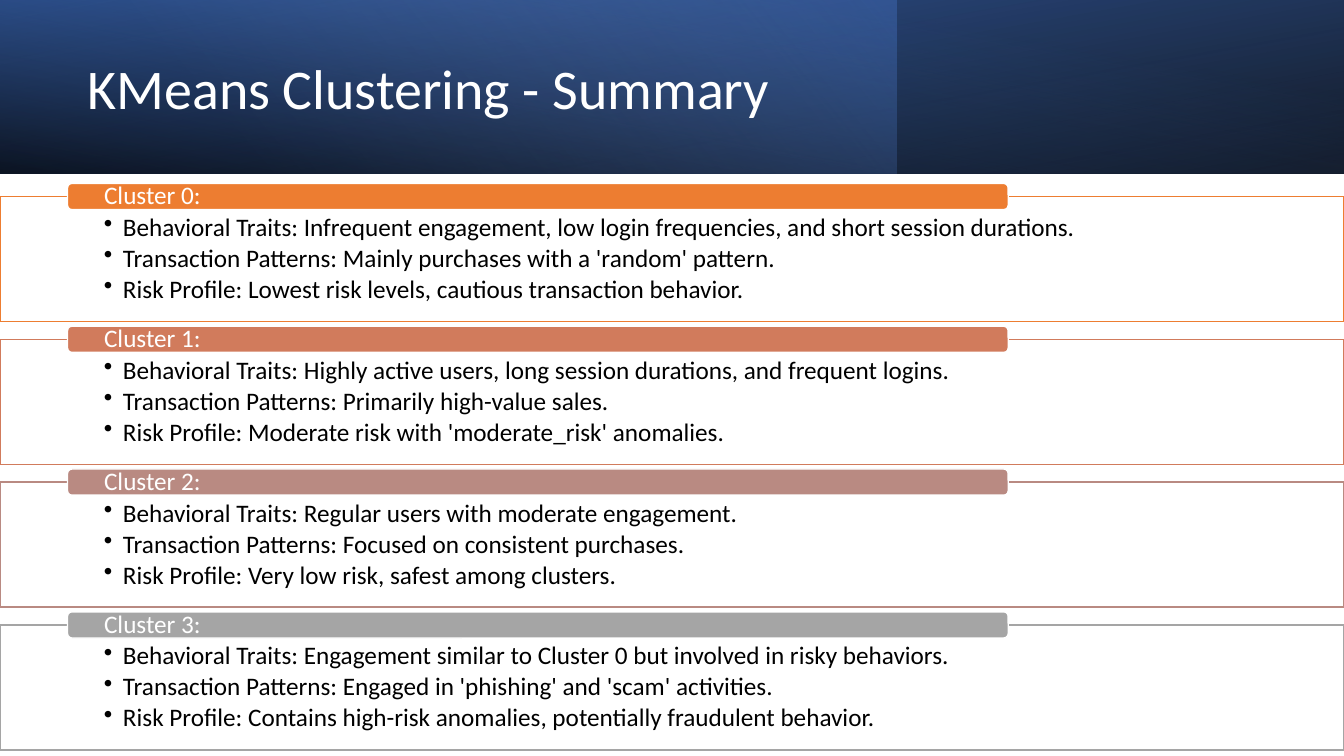
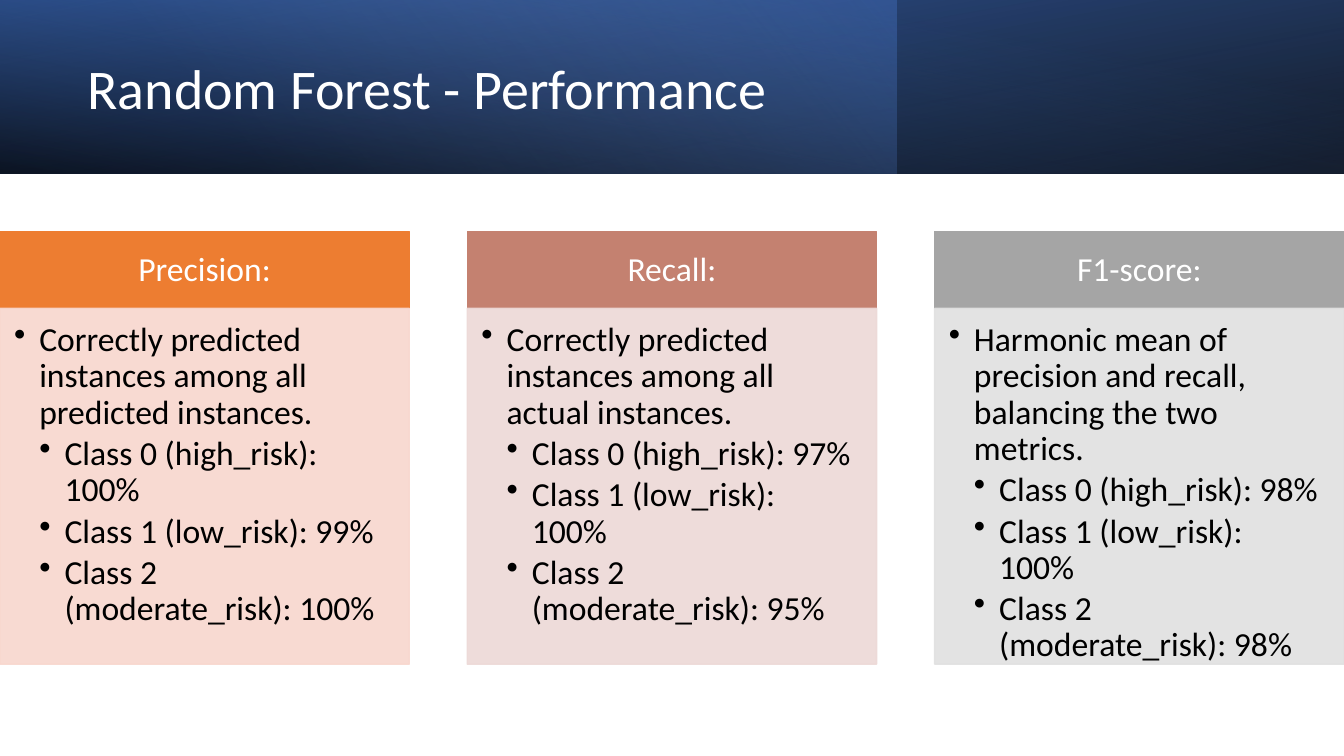
from dataclasses import dataclass

from lxml import etree
from pptx import Presentation
from pptx.dml.color import RGBColor
from pptx.enum import shapes, text
from pptx.oxml import ns
from pptx.util import Inches, Pt

SLIDE_WIDTH, SLIDE_HEIGHT = 13.33, 7.5
BAND_HEIGHT = 1.72
FONT = "Calibri"
BLACK = RGBColor(0x00, 0x00, 0x00)
WHITE = RGBColor(0xFF, 0xFF, 0xFF)
NAVY = RGBColor(0x2F, 0x55, 0x97)
BLUE = RGBColor(0x44, 0x72, 0xC4)
LIGHT_BLUE = RGBColor(0x8F, 0xAA, 0xDC)
ORANGE = RGBColor(0xED, 0x7D, 0x31)
TERRACOTTA = RGBColor(0xD1, 0x7B, 0x5C)
DUSTY_ROSE = RGBColor(0xB9, 0x8A, 0x82)
CLAY = RGBColor(0xC4, 0x81, 0x70)
GRAY = RGBColor(0xA5, 0xA5, 0xA5)
PALE_ORANGE = RGBColor(0xF8, 0xD7, 0xCE)
PALE_ROSE = RGBColor(0xED, 0xD9, 0xD7)
PALE_GRAY = RGBColor(0xE1, 0xE1, 0xE1)

CLUSTER_FIRST, CLUSTER_LAST, CLUSTER_HEIGHT = 1.95, 6.2, 1.24
CLUSTER_TEXT = 18
METRIC_TOP, METRIC_WIDTH = 2.3, 4.06
METRIC_HEAD, METRIC_BODY = 0.76, 3.53
METRIC_TEXT = 24


@dataclass(frozen=True)
class Stop:
    position: int
    color: RGBColor
    opacity: int = 100


@dataclass(frozen=True)
class BandLayer:
    width: float
    angle: int
    stops: tuple[Stop, ...]
    flipped: bool = False
    rotation: int = 0


@dataclass(frozen=True)
class Cluster:
    name: str
    color: RGBColor
    traits: str
    patterns: str
    risk: str


@dataclass(frozen=True)
class Metric:
    name: str
    color: RGBColor
    tint: RGBColor
    meaning: str
    high: int
    low: int
    moderate: int


BAND = (
    BandLayer(SLIDE_WIDTH, 100, (Stop(0, BLACK, 96), Stop(100, NAVY)), True, 180),
    BandLayer(8.89, 140, (Stop(0, BLUE, 41), Stop(74, LIGHT_BLUE, 0))),
    BandLayer(SLIDE_WIDTH, 260, (Stop(0, BLACK, 63), Stop(78, BLUE, 15)), True),
)
CLUSTERS = (
    Cluster("Cluster 0:", ORANGE,
            "Infrequent engagement, low login frequencies, and short session durations.",
            "Mainly purchases with a 'random' pattern.",
            "Lowest risk levels, cautious transaction behavior."),
    Cluster("Cluster 1:", TERRACOTTA,
            "Highly active users, long session durations, and frequent logins.",
            "Primarily high-value sales.",
            "Moderate risk with 'moderate_risk' anomalies."),
    Cluster("Cluster 2:", DUSTY_ROSE,
            "Regular users with moderate engagement.",
            "Focused on consistent purchases.",
            "Very low risk, safest among clusters."),
    Cluster("Cluster 3:", GRAY,
            "Engagement similar to Cluster 0 but involved in risky behaviors.",
            "Engaged in 'phishing' and 'scam' activities.",
            "Contains high-risk anomalies, potentially fraudulent behavior."),
)
METRICS = (
    Metric("Precision:", ORANGE, PALE_ORANGE,
           "Correctly predicted instances among all predicted instances.", 100, 99, 100),
    Metric("Recall:", CLAY, PALE_ROSE,
           "Correctly predicted instances among all actual instances.", 97, 100, 95),
    Metric("F1-score:", GRAY, PALE_GRAY,
           "Harmonic mean of precision and recall, balancing the two metrics.", 98, 100, 98),
)


def add_child(parent, tag: str, **attributes):
    return etree.SubElement(parent, ns.qn(tag), {k: str(v) for k, v in attributes.items()})


def set_opacity(color_format, percent: int) -> None:
    fill = color_format._xFill
    add_child(fill[0], "a:alpha", val=percent * 1000)


def add_panel(slide, left: float, top: float, width: float, height: float,
              fill: RGBColor, line: RGBColor, opacity: int = 100,
              line_opacity: int = 100, kind=shapes.MSO_SHAPE.RECTANGLE):
    panel = slide.shapes.add_shape(kind, Inches(left), Inches(top), Inches(width), Inches(height))
    panel.shadow.inherit = False
    panel.fill.solid()
    panel.fill.fore_color.rgb = fill
    panel.line.color.rgb = line
    panel.line.width = Pt(1)
    properties = panel._element.spPr
    for container, percent in ((properties, opacity), (properties.find(ns.qn("a:ln")), line_opacity)):
        if percent < 100:
            color = container.find(ns.qn("a:solidFill"))[0]
            add_child(color, "a:alpha", val=percent * 1000)
    return panel


def set_frame(shape, margins: tuple[float, float, float, float], anchor) -> None:
    frame = shape.text_frame
    frame.word_wrap = True
    frame.vertical_anchor = anchor
    (frame.margin_left, frame.margin_top,
     frame.margin_right, frame.margin_bottom) = map(Inches, margins)


def style_paragraph(paragraph, words: str, size: int, color: RGBColor,
                    alignment=text.PP_ALIGN.LEFT) -> None:
    paragraph.text = words
    paragraph.alignment = alignment
    paragraph.line_spacing = 0.9
    paragraph.font.name = FONT
    paragraph.font.size = Pt(size)
    paragraph.font.color.rgb = color


def write_heading(shape, words: str, size: int, margins: tuple[float, float, float, float],
                  alignment=text.PP_ALIGN.LEFT) -> None:
    set_frame(shape, margins, text.MSO_ANCHOR.MIDDLE)
    style_paragraph(shape.text_frame.paragraphs[0], words, size, WHITE, alignment)


def write_bullets(shape, items: list[tuple[int, str]], size: int, indent: float,
                  margins: tuple[float, float, float, float]) -> None:
    set_frame(shape, margins, text.MSO_ANCHOR.TOP)
    frame = shape.text_frame
    for index, (level, words) in enumerate(items):
        paragraph = frame.add_paragraph() if index else frame.paragraphs[0]
        paragraph.level = level
        paragraph.space_after = Pt(size * 0.15)
        style_paragraph(paragraph, words, size, BLACK)
        properties = paragraph._p.get_or_add_pPr()
        properties.set("marL", str(Inches(indent * level)))
        properties.set("indent", str(-Inches(indent)))
        bullet = add_child(properties, "a:buChar", char="•")
        properties.find(ns.qn("a:defRPr")).addprevious(bullet)


def add_band_layer(slide, layer: BandLayer) -> None:
    panel = slide.shapes.add_shape(shapes.MSO_SHAPE.RECTANGLE, 0, 0,
                                   Inches(layer.width), Inches(BAND_HEIGHT))
    panel.shadow.inherit = False
    panel.line.fill.background()
    panel.rotation = layer.rotation
    properties = panel._element.spPr
    if layer.flipped:
        properties.find(ns.qn("a:xfrm")).set("flipH", "1")
    gradient = add_child(properties, "a:gradFill", rotWithShape=1)
    stops = add_child(gradient, "a:gsLst")
    for stop in layer.stops:
        mark = add_child(stops, "a:gs", pos=stop.position * 1000)
        color = add_child(mark, "a:srgbClr", val=stop.color)
        add_child(color, "a:alpha", val=stop.opacity * 1000)
    add_child(gradient, "a:lin", ang=layer.angle * 60000, scaled=0)
    properties.find(ns.qn("a:prstGeom")).addnext(gradient)


def add_titled_slide(deck, title: str):
    slide = deck.slides.add_slide(deck.slide_layouts[6])
    for layer in BAND:
        add_band_layer(slide, layer)
    heading = slide.shapes.add_textbox(Inches(0.77), Inches(0.27), Inches(7.72), Inches(1.27))
    write_heading(heading, title, 40, (0.1, 0.05, 0.1, 0.05))
    return slide


def add_cluster(slide, cluster: Cluster, top: float) -> None:
    body = add_panel(slide, 0, top, SLIDE_WIDTH, CLUSTER_HEIGHT, WHITE, cluster.color, 90)
    items = [(1, f"Behavioral Traits: {cluster.traits}"),
             (1, f"Transaction Patterns: {cluster.patterns}"),
             (1, f"Risk Profile: {cluster.risk}")]
    write_bullets(body, items, CLUSTER_TEXT, 0.19, (1.03, 0.18, 1.03, 0.14))
    label = add_panel(slide, 0.67, top - 0.13, 9.33, 0.26, cluster.color, WHITE,
                      kind=shapes.MSO_SHAPE.ROUNDED_RECTANGLE)
    write_heading(label, cluster.name, CLUSTER_TEXT, (0.35, 0, 0.35, 0))


def add_metric(slide, metric: Metric, left: float) -> None:
    head = add_panel(slide, left, METRIC_TOP, METRIC_WIDTH, METRIC_HEAD,
                     metric.color, metric.color)
    write_heading(head, metric.name, METRIC_TEXT, (0.19, 0.11, 0.19, 0.11),
                  text.PP_ALIGN.CENTER)
    body = add_panel(slide, left, METRIC_TOP + METRIC_HEAD, METRIC_WIDTH, METRIC_BODY,
                     metric.tint, metric.tint, 90, 90)
    items = [(1, metric.meaning),
             (2, f"Class 0 (high_risk): {metric.high}%"),
             (2, f"Class 1 (low_risk): {metric.low}%"),
             (2, f"Class 2 (moderate_risk): {metric.moderate}%")]
    write_bullets(body, items, METRIC_TEXT, 0.25, (0.14, 0.14, 0.19, 0.21))


def main() -> None:
    deck = Presentation()
    deck.slide_width, deck.slide_height = Inches(SLIDE_WIDTH), Inches(SLIDE_HEIGHT)

    summary = add_titled_slide(deck, "KMeans Clustering - Summary")
    cluster_pitch = (CLUSTER_LAST - CLUSTER_FIRST) / (len(CLUSTERS) - 1)
    for index, cluster in enumerate(CLUSTERS):
        add_cluster(summary, cluster, CLUSTER_FIRST + index * cluster_pitch)

    performance = add_titled_slide(deck, "Random Forest - Performance")
    metric_pitch = (SLIDE_WIDTH - METRIC_WIDTH) / (len(METRICS) - 1)
    for index, metric in enumerate(METRICS):
        add_metric(performance, metric, index * metric_pitch)

    deck.save("out.pptx")


if __name__ == "__main__":
    main()
